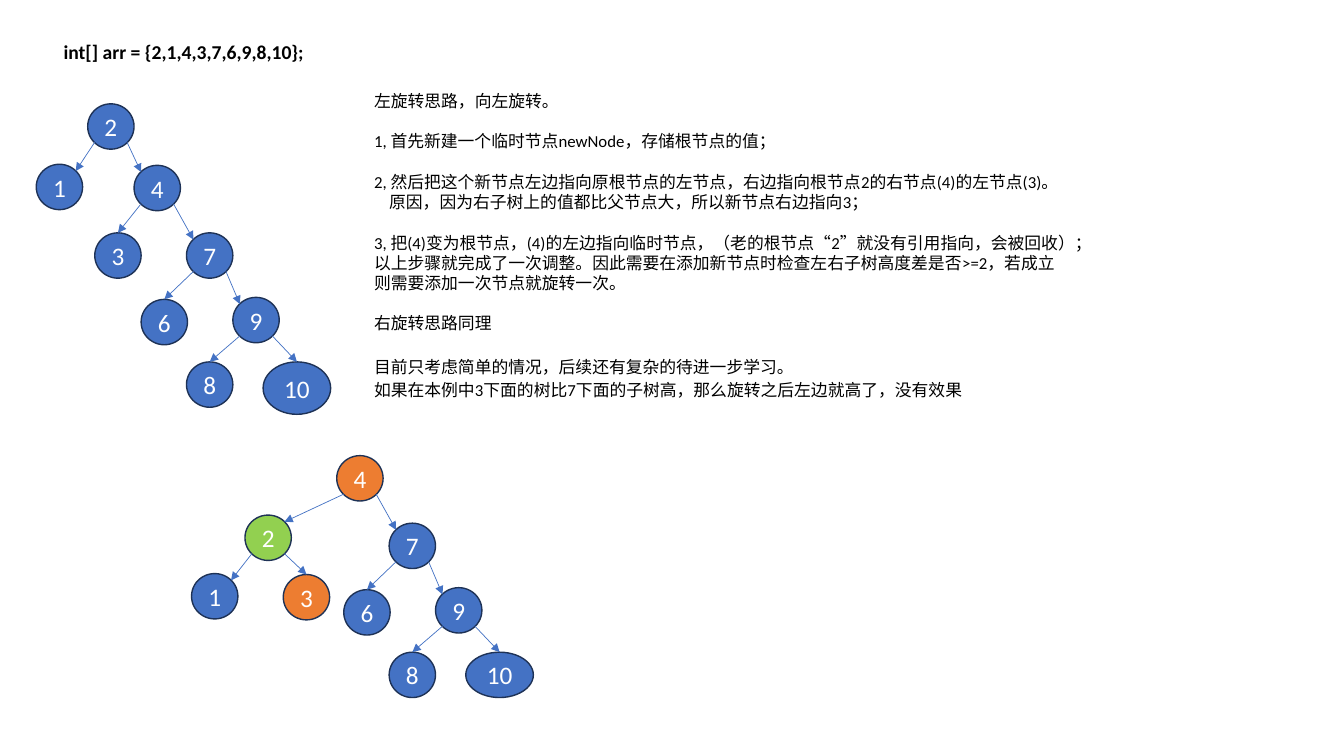
"""Build a slide on rotating a binary search tree."""
import pptx
import pptx.util
import pptx.enum.shapes
import pptx.enum.text
import pptx.dml.color
import pptx.oxml
import pptx.oxml.ns

Inches, Pt = pptx.util.Inches, pptx.util.Pt
FONT = "Calibri"
COLORS = {"blue": "4472C4", "orange": "ED7D31", "green": "92D050",
          "edge": "1E3256", "white": "FFFFFF", "black": "000000"}

TITLE = "int[] arr = {2,1,4,3,7,6,9,8,10};"

# text, space before in points, left indent in inches
NOTES = [
    ("左旋转思路，向左旋转。", 0, 0),
    ("1, 首先新建一个临时节点newNode，存储根节点的值；", 14.5, 0),
    ("2, 然后把这个新节点左边指向原根节点的左节点，右边指向根节点2的右节点(4)的左节点(3)。", 14.5, 0),
    ("原因，因为右子树上的值都比父节点大，所以新节点右边指向3；", 0, 0.15),
    ("3, 把(4)变为根节点，(4)的左边指向临时节点，（老的根节点“2”就没有引用指向，会被回收）；", 14.5, 0),
    ("以上步骤就完成了一次调整。因此需要在添加新节点时检查左右子树高度差是否>=2，若成立", 0, 0),
    ("则需要添加一次节点就旋转一次。", 0, 0),
    ("右旋转思路同理", 14.5, 0),
    ("目前只考虑简单的情况，后续还有复杂的待进一步学习。", 16.5, 0),
    ("如果在本例中3下面的树比7下面的子树高，那么旋转之后左边就高了，没有效果", 2, 0),
]

# label, left, top, width, height, fill, parent, where the arrow lands
W, H = 0.46, 0.45
BEFORE = [
    ("2", 0.87, 1.03, W, H, "blue", None, None),
    ("1", 0.36, 1.63, W, H, "blue", "2", "corner"),
    ("4", 1.33, 1.64, W, H, "blue", "2", "corner"),
    ("3", 0.94, 2.31, W, H, "blue", "4", "top"),
    ("7", 1.85, 2.31, W, H, "blue", "4", "corner"),
    ("6", 1.40, 2.97, W, H, "blue", "7", "top"),
    ("9", 2.31, 2.95, W, H, "blue", "7", "corner"),
    ("8", 1.85, 3.59, W, H, "blue", "9", "top"),
    ("10", 2.61, 3.59, 0.67, 0.52, "blue", "9", "top"),
]
AFTER = [
    ("4", 3.34, 4.52, W, H, "orange", None, None),
    ("2", 2.43, 5.11, W, H, "green", "4", "corner"),
    ("7", 3.86, 5.19, W, H, "blue", "4", "corner"),
    ("1", 1.90, 5.69, W, H, "blue", "2", "corner"),
    ("3", 2.81, 5.70, W, H, "orange", "2", "top"),
    ("6", 3.41, 5.85, W, H, "blue", "7", "top"),
    ("9", 4.32, 5.83, W, H, "blue", "7", "corner"),
    ("8", 3.86, 6.47, W, H, "blue", "9", "top"),
    ("10", 4.62, 6.47, 0.67, H, "blue", "9", "top"),
]
NEAR, FAR = 0.15, 0.85


def color(name):
    return pptx.dml.color.RGBColor.from_string(COLORS[name])


def style(para, size, ink, bold=False):
    for run in para.runs:
        run.font.name = FONT
        run.font.size = Pt(size)
        run.font.bold = bold
        run.font.color.rgb = color(ink)


def place(shape, left, top, width, height):
    shape.left, shape.top = Inches(left), Inches(top)
    shape.width, shape.height = Inches(width), Inches(height)


def spot(node, across, down):
    return (int(node.left + across * node.width),
            int(node.top + down * node.height))


def add_node(slide, label, left, top, width, height, fill):
    node = slide.shapes.add_shape(
        pptx.enum.shapes.MSO_SHAPE.OVAL, Inches(left), Inches(top),
        Inches(width), Inches(height))
    node.shadow.inherit = False
    node.fill.solid()
    node.fill.fore_color.rgb = color(fill)
    node.line.color.rgb = color("edge")
    node.line.width = Pt(1)
    frame = node.text_frame
    frame.margin_left = frame.margin_right = 0
    frame.margin_top = frame.margin_bottom = 0
    frame.vertical_anchor = pptx.enum.text.MSO_ANCHOR.MIDDLE
    frame.text = label
    para = frame.paragraphs[0]
    para.alignment = pptx.enum.text.PP_ALIGN.CENTER
    style(para, 18, "white")
    return node


def add_arrow(slide, parent, child, end):
    is_left = child.left < parent.left
    start = spot(parent, NEAR if is_left else FAR, FAR)
    stop = spot(child, FAR if is_left else NEAR, NEAR)
    arrow = slide.shapes.add_connector(
        pptx.enum.shapes.MSO_CONNECTOR.STRAIGHT, *start, *stop)
    if end == "top":
        arrow.end_connect(child, 0)
    arrow.line.color.rgb = color("blue")
    arrow.line.width = Pt(0.5)
    space = pptx.oxml.ns.nsdecls("a")
    arrow.line._get_or_add_ln().append(
        pptx.oxml.parse_xml(f'<a:tailEnd {space} type="triangle"/>'))
    arrow._element.spPr.append(pptx.oxml.parse_xml(f"<a:effectLst {space}/>"))


def add_tree(slide, tree):
    nodes = {}
    for label, left, top, width, height, fill, parent, end in tree:
        nodes[label] = add_node(slide, label, left, top, width, height, fill)
        if parent:
            add_arrow(slide, nodes[parent], nodes[label], end)


def add_title(slide):
    title = slide.shapes.title
    place(title, 0.53, 0.34, 3.23, 0.34)
    frame = title.text_frame
    frame.text = TITLE
    frame.word_wrap = False
    frame.auto_size = pptx.enum.text.MSO_AUTO_SIZE.NONE
    para = frame.paragraphs[0]
    para.alignment = pptx.enum.text.PP_ALIGN.LEFT
    style(para, 14, "black", True)


def add_notes(slide):
    body = slide.placeholders[1]
    place(body, 3.61, 0.85, 7.27, 3.2)
    frame = body.text_frame
    frame.text = "\n".join(text for text, gap, indent in NOTES)
    frame.word_wrap = True
    frame.auto_size = pptx.enum.text.MSO_AUTO_SIZE.NONE
    for para, (text, gap, indent) in zip(frame.paragraphs, NOTES):
        para.space_before = Pt(gap)
        props = para._p.get_or_add_pPr()
        props.set("marL", str(Inches(indent)))
        props.set("indent", "0")
        props.append(pptx.oxml.parse_xml(
            f'<a:buNone {pptx.oxml.ns.nsdecls("a")}/>'))
        style(para, 12, "black")


def main():
    deck = pptx.Presentation()
    deck.slide_width, deck.slide_height = Inches(13.33), Inches(7.5)
    slide = deck.slides.add_slide(deck.slide_layouts[1])
    add_title(slide)
    add_notes(slide)
    for tree in (BEFORE, AFTER):
        add_tree(slide, tree)
    deck.save("out.pptx")


if __name__ == "__main__":
    main()
